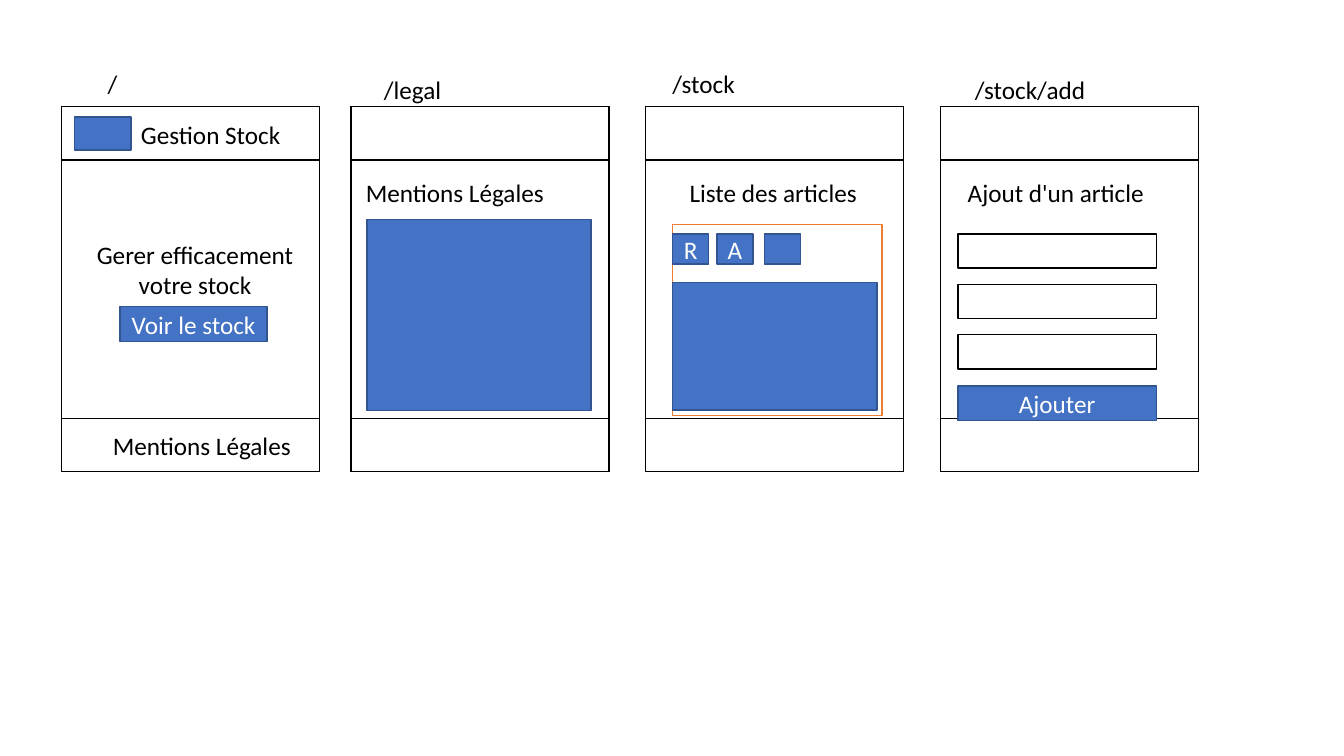
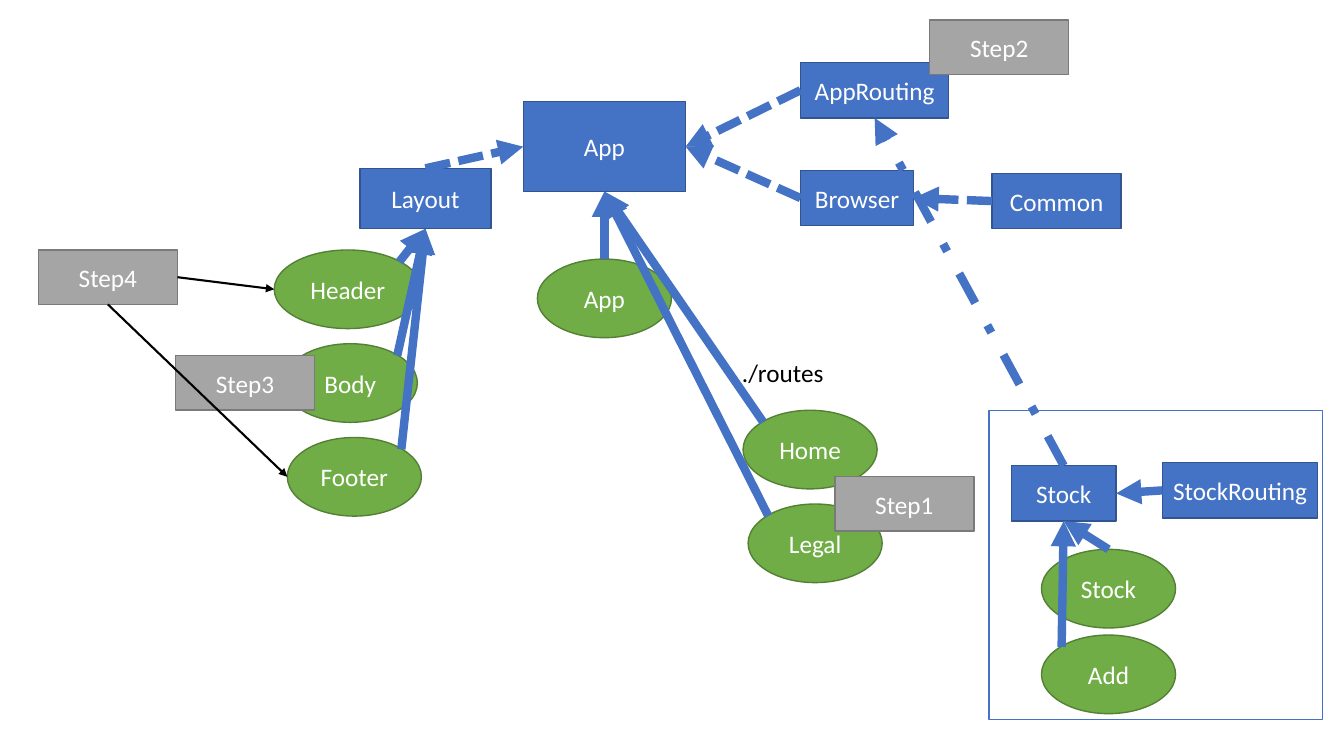
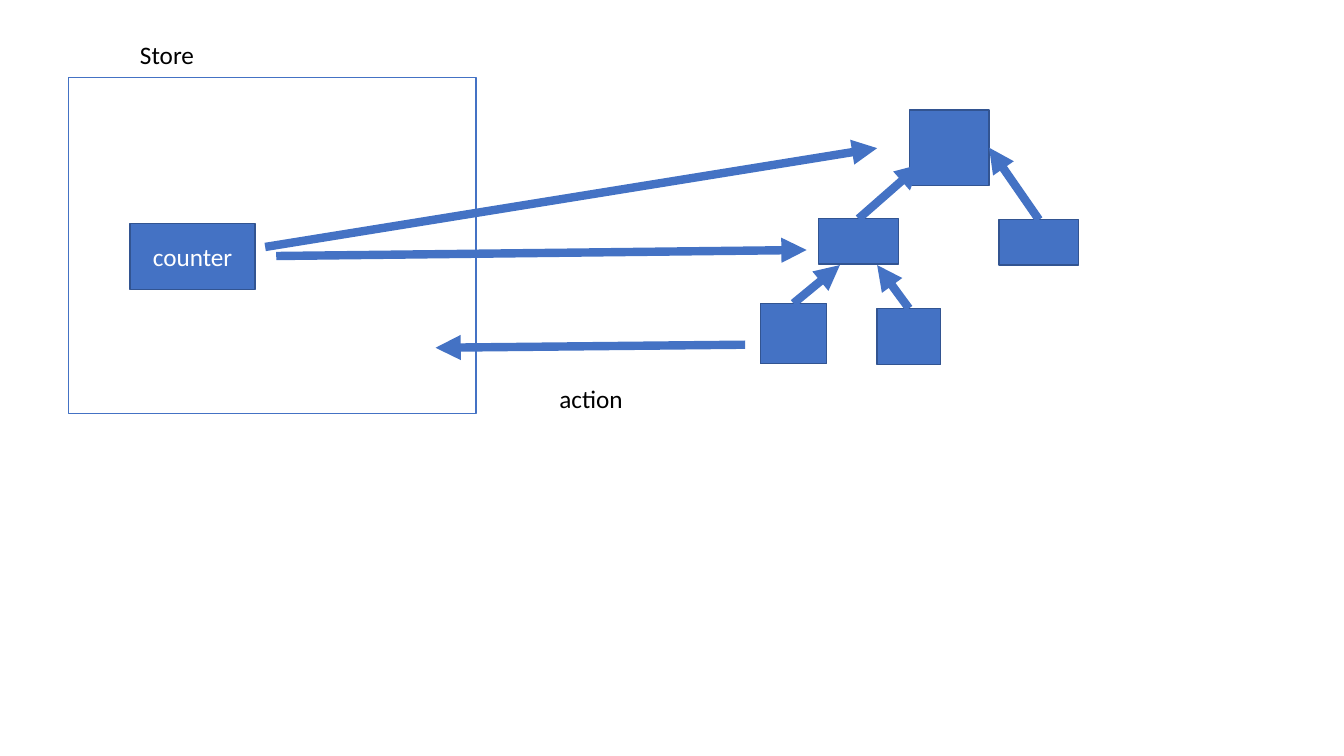
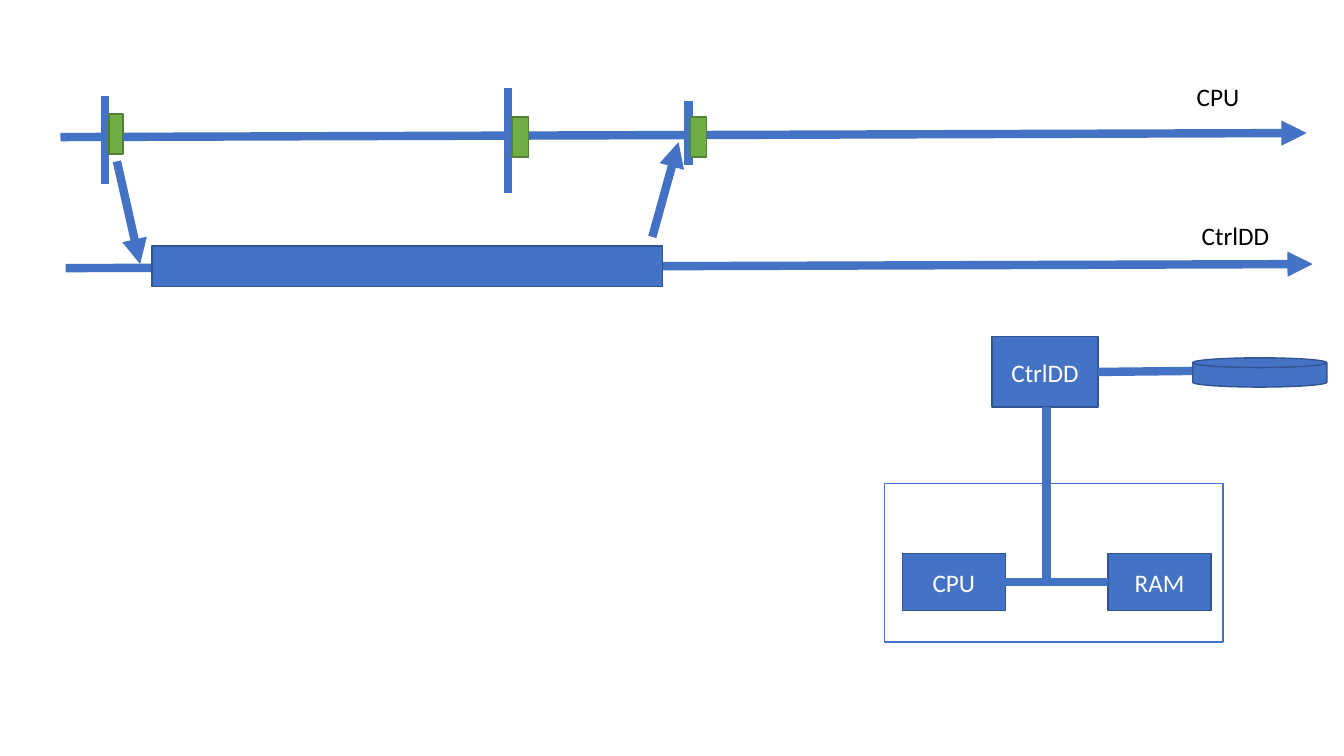
from lxml.etree import SubElement
from pptx import Presentation
from pptx.dml.color import RGBColor
from pptx.enum.dml import MSO_LINE
from pptx.enum.shapes import MSO_CONNECTOR, MSO_SHAPE
from pptx.enum.text import MSO_ANCHOR, MSO_AUTO_SIZE, PP_ALIGN
from pptx.oxml.ns import qn
from pptx.util import Inches, Pt

BLUE, BLACK, WHITE = "4472C4", "000000", "FFFFFF"
STYLES = {
    "blue": (BLUE, "325491"),
    "green": ("70AD47", "538035"),
    "grey": ("A5A5A5", "7A7A7A"),
    "outline": (WHITE, BLACK),
    "frame": (WHITE, BLUE),
    "accent": (WHITE, "ED7D31"),
}
FONT = {"name": "Calibri", "size": Pt(18)}
SHAPE_TEXT = {"word_wrap": False, "vertical_anchor": MSO_ANCHOR.MIDDLE}
DIAGONAL = 0.15
SITES = {
    "top": (0.5, 0, 0),
    "left": (0, 0.5, 1),
    "bottom": (0.5, 1, 2),
    "right": (1, 0.5, 3),
    "upper left": (DIAGONAL, DIAGONAL, None),
    "upper right": (1 - DIAGONAL, DIAGONAL, None),
}


def color(value):
    return RGBColor.from_string(value)


def set_values(target, values):
    for name, value in values.items():
        setattr(target, name, value)


class Diagram:
    def __init__(self):
        self.presentation = Presentation()
        set_values(self.presentation, {"slide_width": Inches(13.33), "slide_height": Inches(7.5)})
        self.slide = None

    def new_slide(self):
        self.slide = self.presentation.slides.add_slide(self.presentation.slide_layouts[6])

    def add_words(self, shape, text, ink, alignment):
        paragraph = shape.text_frame.paragraphs[0]
        paragraph.alignment = alignment
        run = paragraph.add_run()
        run.text = text
        set_values(run.font, FONT)
        run.font.color.rgb = color(ink)

    def box(self, left, top, width, height, text="", style="blue", preset=MSO_SHAPE.RECTANGLE):
        shape = self.slide.shapes.add_shape(
            preset, Inches(left), Inches(top), Inches(width), Inches(height))
        fill, line = STYLES[style]
        shape.shadow.inherit = False
        shape.fill.solid()
        shape.fill.fore_color.rgb = color(fill)
        shape.line.color.rgb = color(line)
        shape.line.width = Pt(1)
        if text:
            set_values(shape.text_frame, SHAPE_TEXT)
            self.add_words(shape, text, WHITE, PP_ALIGN.CENTER)
        return shape

    def oval(self, left, top, text, width=1.33):
        return self.box(left, top, width, 0.78, text, "green", MSO_SHAPE.OVAL)

    def label(self, left, top, width, text, height=0.4, wrap=False, alignment=PP_ALIGN.LEFT):
        shape = self.slide.shapes.add_textbox(
            Inches(left), Inches(top), Inches(width), Inches(height))
        set_values(shape.text_frame, {
            "word_wrap": wrap, "auto_size": MSO_AUTO_SIZE.SHAPE_TO_FIT_TEXT})
        self.add_words(shape, text, BLACK, alignment)

    def locate(self, end):
        first, second = end
        if second not in SITES:
            return Inches(first), Inches(second)
        across, down, _ = SITES[second]
        return int(first.left + first.width * across), int(first.top + first.height * down)

    def line(self, start, end, arrow=False, ink=BLUE, width=6, dash=None):
        connector = self.slide.shapes.add_connector(
            MSO_CONNECTOR.STRAIGHT, *self.locate(start), *self.locate(end))
        for (shape, side), connect in ((start, connector.begin_connect), (end, connector.end_connect)):
            if side == "top" or side in SITES and shape.auto_shape_type == MSO_SHAPE.RECTANGLE:
                connect(shape, SITES[side][2])
        connector.line.color.rgb = color(ink)
        connector.line.width = Pt(width)
        if dash:
            connector.line.dash_style = dash
        properties = connector._element.spPr
        if arrow:
            SubElement(properties.find(qn("a:ln")), qn("a:tailEnd"), type="triangle")
        SubElement(properties, qn("a:effectLst"))

    def arrow(self, start, end, **options):
        self.line(start, end, arrow=True, **options)

    def screen(self, left):
        for top, height in ((1.06, 3.62), (1.06, 0.53), (4.15, 0.53)):
            self.box(left, top, 2.56, height, style="outline")


def draw_wireframes(diagram):
    diagram.new_slide()
    for left in (0.61, 3.48, 6.4, 9.33):
        diagram.screen(left)
    for left, top, width, address in (
            (0.97, 0.63, 0.3, "/"), (3.71, 0.69, 0.78, "/legal"),
            (6.57, 0.63, 0.83, "/stock"), (9.57, 0.69, 1.31, "/stock/add")):
        diagram.label(left, top, width, address)
    for left, width, heading in (
            (3.53, 1.99, "Mentions Légales"), (6.74, 1.88, "Liste des articles"),
            (9.5, 1.97, "Ajout d'un article")):
        diagram.label(left, 1.71, width, heading)

    diagram.box(0.74, 1.16, 0.56, 0.33)
    diagram.label(1.3, 1.13, 1.6, "Gestion Stock")
    diagram.label(1.02, 4.22, 1.99, "Mentions Légales")
    diagram.label(0.76, 2.32, 2.35, "Gerer efficacement votre stock",
                  height=0.71, wrap=True, alignment=PP_ALIGN.CENTER)
    diagram.box(1.19, 3.04, 1.46, 0.35, "Voir le stock")

    diagram.box(3.64, 2.18, 2.22, 1.89)

    diagram.box(6.67, 2.23, 2.08, 1.89, style="accent")
    for left, text in ((6.67, "R"), (7.11, "A"), (7.58, "")):
        diagram.box(left, 2.32, 0.36, 0.3, text)
    diagram.box(6.67, 2.8, 2.03, 1.27)

    for row in range(3):
        diagram.box(9.5, 2.32 + row * 0.5, 1.97, 0.34, style="outline")
    diagram.box(9.5, 3.83, 1.97, 0.34, "Ajouter")


def draw_modules(diagram):
    diagram.new_slide()
    dashed = MSO_LINE.SQUARE_DOT
    diagram.box(9.81, 4.07, 3.31, 3.07, style="frame")
    app = diagram.box(5.19, 1.01, 1.61, 0.89, "App")
    app_view = diagram.oval(5.33, 2.57, "App")
    diagram.arrow((app_view, "top"), (app, "bottom"))
    routing = diagram.box(7.94, 0.62, 1.47, 0.55, "AppRouting")
    browser = diagram.box(7.94, 1.69, 1.12, 0.55, "Browser")
    common = diagram.box(9.84, 1.72, 1.28, 0.55, "Common")
    for source, target in ((routing, app), (browser, app), (common, browser)):
        diagram.arrow((source, "left"), (target, "right"), dash=dashed)

    footer = diagram.oval(2.85, 4.34, "Footer")
    body = diagram.oval(2.81, 3.41, "Body")
    header = diagram.oval(2.72, 2.48, "Header", width=1.46)
    layout = diagram.box(3.57, 1.67, 1.3, 0.6, "Layout")
    for part in (header, body, footer):
        diagram.arrow((part, "upper right"), (layout, "bottom"))
    diagram.arrow((layout, "top"), (app, "left"), dash=dashed)

    legal = diagram.oval(7.42, 5, "Legal")
    home = diagram.oval(7.37, 4.07, "Home")
    diagram.label(7.26, 3.5, 1.02, "./routes")
    for page in (home, legal):
        diagram.arrow((page, "upper left"), (app, "bottom"))

    places = ((8.28, 4.73), (9.22, 0.2), (1.74, 3.53), (0.38, 2.48))
    steps = [diagram.box(left, top, 1.38, 0.54, f"Step{number}", "grey")
             for number, (left, top) in enumerate(places, 1)]
    for side, part in (("right", header), ("bottom", footer)):
        diagram.arrow((steps[3], side), (part, "left"), ink=BLACK, width=1.5)

    stock_view = diagram.oval(10.33, 5.45, "Stock")
    add_view = diagram.oval(10.33, 6.3, "Add")
    stock = diagram.box(10.03, 4.62, 1.04, 0.55, "Stock")
    stock_routing = diagram.box(11.53, 4.59, 1.54, 0.55, "StockRouting")
    diagram.arrow((stock_routing, "left"), (stock, "right"), dash=dashed)
    diagram.arrow((stock_view, "top"), (stock, "bottom"))
    diagram.arrow((add_view, "upper left"), (stock, "bottom"))
    diagram.arrow((stock, "top"), (routing, "bottom"), dash=MSO_LINE.DASH_DOT)


def draw_store(diagram):
    diagram.new_slide()
    root = diagram.box(9.02, 1.09, 0.79, 0.75)
    branch = diagram.box(8.12, 2.17, 0.79, 0.45)
    right_branch = diagram.box(9.91, 2.18, 0.79, 0.45)
    left_leaf = diagram.box(7.54, 3.01, 0.66, 0.6)
    right_leaf = diagram.box(8.7, 3.06, 0.63, 0.56)
    for node, target in (
            (branch, (9.13, 1.63)), (right_branch, (root, "right")),
            (left_leaf, (8.33, 2.63)), (right_leaf, (8.7, 2.63))):
        diagram.arrow((node, "top"), target)
    diagram.box(0.68, 0.77, 4.04, 3.33, style="frame")
    diagram.label(1.29, 0.34, 0.74, "Store")
    diagram.label(5.45, 3.75, 0.84, "action")
    diagram.box(1.29, 2.22, 1.24, 0.65, "counter")
    for start, end in (
            ((7.39, 3.42), (4.32, 3.45)), ((2.63, 2.45), (8.7, 1.47)),
            ((2.74, 2.54), (8, 2.48))):
        diagram.arrow(start, end)


def draw_timeline(diagram):
    diagram.new_slide()
    diagram.arrow((0.6, 1.36), (12.96, 1.32))
    for x, top, bottom in ((1.04, 0.95, 1.83), (5.04, 0.87, 1.91), (6.83, 1, 1.64)):
        diagram.line((x, top), (x, bottom))
    for left, top, width in ((1.08, 1.13, 0.14), (5.08, 1.16, 0.16), (6.85, 1.16, 0.16)):
        diagram.box(left, top, width, 0.4, style="green")
    diagram.arrow((0.65, 2.66), (13.02, 2.62))
    diagram.box(1.51, 2.44, 5.06, 0.4)
    diagram.arrow((1.16, 1.6), (1.39, 2.62))
    diagram.arrow((6.47, 2.35), (6.73, 1.41))
    diagram.label(11.77, 0.76, 0.63, "CPU")
    diagram.label(11.82, 2.14, 0.88, "CtrlDD")

    diagram.box(8.77, 4.8, 3.36, 1.57, style="frame")
    processor = diagram.box(8.95, 5.49, 1.02, 0.57, "CPU")
    memory = diagram.box(10.99, 5.49, 1.02, 0.57, "RAM")
    diagram.line((processor, "right"), (memory, "left"))
    controller = diagram.box(9.84, 3.34, 1.05, 0.7, "CtrlDD")
    diagram.line((10.38, 5.74), (10.38, 4.04))
    diagram.line((controller, "right"), (11.83, 3.68))
    diagram.box(11.83, 3.55, 1.33, 0.29, preset=MSO_SHAPE.FLOWCHART_MAGNETIC_DISK)


diagram = Diagram()
for draw in (draw_wireframes, draw_modules, draw_store, draw_timeline):
    draw(diagram)
diagram.presentation.save("out.pptx")
